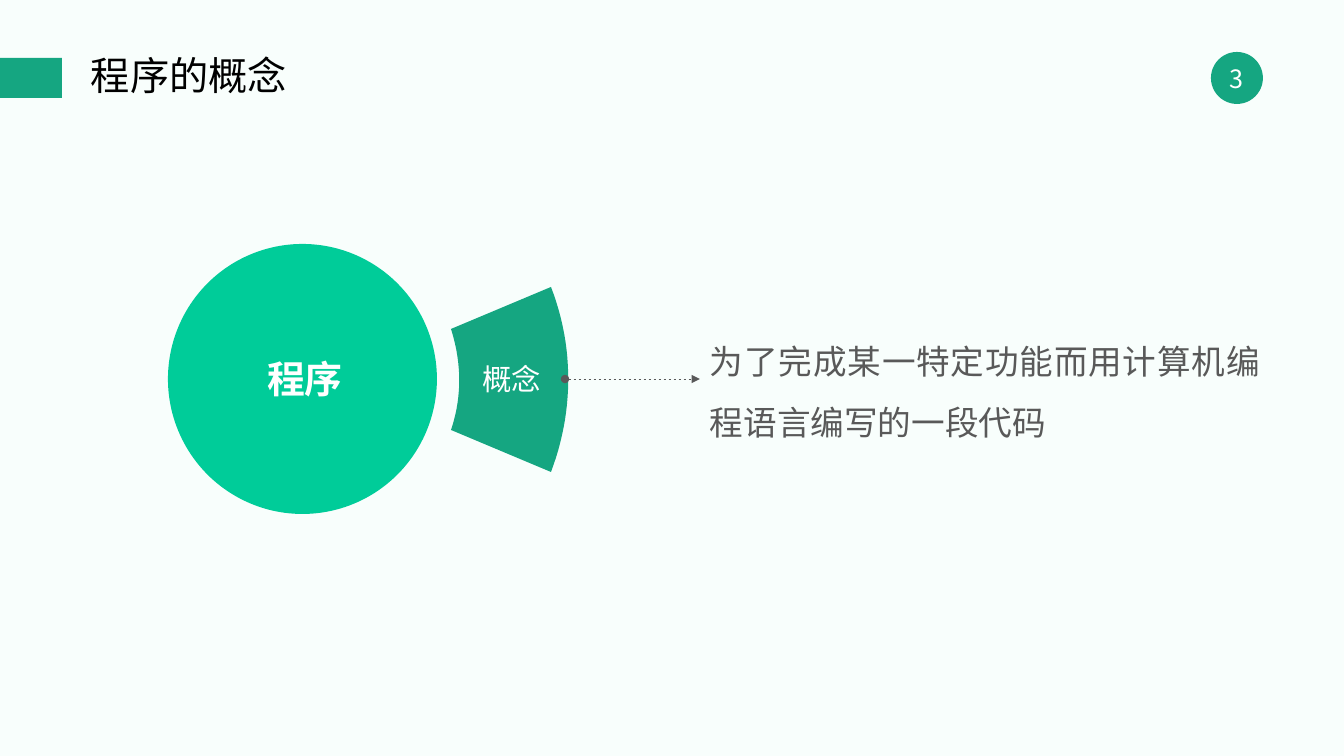
from lxml import etree
from pptx import Presentation
from pptx.dml.color import RGBColor
from pptx.enum.dml import MSO_LINE
from pptx.enum.shapes import MSO_CONNECTOR, MSO_SHAPE
from pptx.enum.text import MSO_ANCHOR, PP_ALIGN
from pptx.oxml.ns import qn
from pptx.util import Pt

PX = 914400 / 100.8
FONT = "Noto Sans CJK SC"
PALE = RGBColor(0xF8, 0xFE, 0xFC)
GREEN = RGBColor(0x15, 0xA6, 0x81)
MINT = RGBColor(0x00, 0xCC, 0x99)
GRAY = RGBColor(0x59, 0x59, 0x59)
BLACK = RGBColor(0, 0, 0)
WHITE = RGBColor(0xFF, 0xFF, 0xFF)
RECT, OVAL = MSO_SHAPE.RECTANGLE, MSO_SHAPE.OVAL
TOP, MIDDLE = MSO_ANCHOR.TOP, MSO_ANCHOR.MIDDLE
LEFT, CENTER, JUSTIFY = PP_ALIGN.LEFT, PP_ALIGN.CENTER, PP_ALIGN.JUSTIFY
STRAIGHT, DASH = MSO_CONNECTOR.STRAIGHT, MSO_LINE.DASH


def scale(*sizes):
    return [round(size * PX) for size in sizes]


def paint(shape, color):
    shape.shadow.inherit = False
    shape.fill.solid()
    shape.fill.fore_color.rgb = color
    shape.line.fill.background()


deck = Presentation()
deck.slide_width, deck.slide_height = scale(1344, 756)
slide = deck.slides.add_slide(deck.slide_layouts[6])
slide.background.fill.solid()
slide.background.fill.fore_color.rgb = PALE
shapes = slide.shapes

# Page badge, title bar and main circle
for kind, box, color in [
    (OVAL, (1211, 52, 52, 52), GREEN),
    (RECT, (0, 58, 62, 40), GREEN),
    (OVAL, (168, 244, 269, 270), MINT),
]:
    paint(shapes.add_shape(kind, *scale(*box)), color)

# Ring segment: two curves joined by straight sides
outer = [(551, 287), (575, 349), (573, 414), (551, 472)]
inner = [(451, 430), (462, 398), (462, 363), (451, 329)]
STEPS = 24
points = []
for curve in (outer, inner):
    for step in range(STEPS + 1):
        t = step / STEPS
        weights = ((1 - t) ** 3, 3 * t * (1 - t) ** 2, 3 * t * t * (1 - t), t ** 3)
        points.append(scale(*(sum(w * p[axis] for w, p in zip(weights, curve))
                              for axis in (0, 1))))
pen = shapes.build_freeform(*points[0])
pen.add_line_segments(points[1:], close=True)
paint(pen.convert_to_shape(), GREEN)

# Dashed arrow from the segment to its meaning
arrow = shapes.add_connector(STRAIGHT, *scale(565, 379, 700, 379))
arrow.line.color.rgb = GRAY
arrow.line.width = Pt(0.5)
arrow.line.dash_style = DASH
props = arrow._element.spPr
for tag, end in [("a:headEnd", "oval"), ("a:tailEnd", "triangle")]:
    etree.SubElement(props.find(qn("a:ln")), qn(tag), type=end)
etree.SubElement(props, qn("a:effectLst"))

# Texts: words, box, size, color, bold, align, anchor, insets, line spacing, space before
for words, box, size, color, bold, align, anchor, inset, lines, before in [
    ("3", (1211, 42, 52, 72), 18, WHITE, False, CENTER, MIDDLE, (10, 5), 1, 0),
    ("程序的概念", (81, 52, 751, 52), 28, BLACK, False, LEFT, MIDDLE, (10, 5), 0.9, 10),
    ("为了完成某一特定功能而用计算机编程语言编写的一段代码",
     (710, 321, 550, 115), 24, GRAY, False, JUSTIFY, TOP, (0, 0), 1.5, 0),
    ("程序", (253, 349, 104, 59), 27, WHITE, True, CENTER, TOP, (13, 7), 1, 0),
    ("概念", (469, 361, 86, 35), 21, WHITE, False, CENTER, TOP, (0, 0), 1, 0),
]:
    frame = shapes.add_textbox(*scale(*box)).text_frame
    frame.word_wrap = words != "程序"
    frame.vertical_anchor = anchor
    frame.margin_left, frame.margin_top = scale(*inset)
    frame.margin_right, frame.margin_bottom = scale(*inset)
    para = frame.paragraphs[0]
    para.alignment = align
    para.line_spacing = lines
    para.space_before = Pt(before)
    run = para.add_run()
    run.text = words
    run.font.size = Pt(size)
    run.font.bold = bold
    run.font.color.rgb = color
    run.font.name = FONT
    etree.SubElement(run.font._element if hasattr(run.font, "_element") else run._r.get_or_add_rPr(),
                     qn("a:ea"), typeface=FONT)

deck.save("out.pptx")
